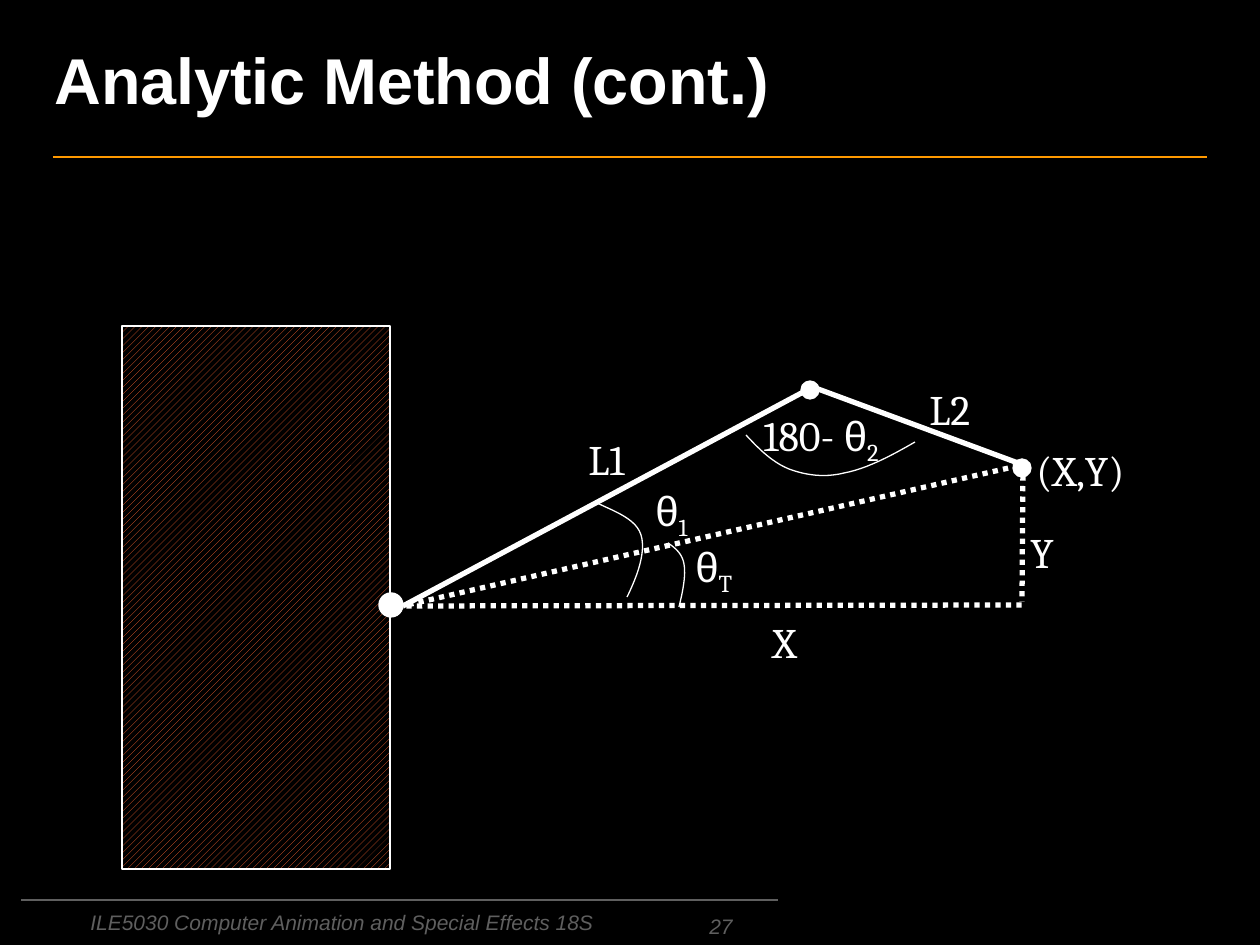
import pptx
import pptx.dml.color
import pptx.enum.dml
import pptx.enum.shapes
import pptx.enum.text
import pptx.oxml
import pptx.oxml.ns
import pptx.util

PX = 914400 / 126
WHITE, BLACK, GRAY, ORANGE = "FFFFFF", "000000", "5F5F5F", "FF9900"
ANCHOR = pptx.enum.text.MSO_ANCHOR
ALIGN = pptx.enum.text.PP_ALIGN
THETA = ("θ", {"font": "Arial"})
TITLE_SHADOW = (
    f'<a:effectLst {pptx.oxml.ns.nsdecls("a")}>'
    '<a:outerShdw dist="25400" dir="2700000" algn="tl">'
    '<a:srgbClr val="993399"/></a:outerShdw></a:effectLst>'
)


def emu(px):
    return pptx.util.Emu(round(px * PX))


def rgb(color):
    return pptx.dml.color.RGBColor.from_string(color)


def subscript(text):
    return (text, {"baseline": -25000})


def set_line(line, color, width):
    line.color.rgb = rgb(color)
    line.width = pptx.util.Pt(width)


def add_segment(slide, start, end, color=WHITE, width=3, dotted=False):
    segment = slide.shapes.add_connector(
        pptx.enum.shapes.MSO_CONNECTOR.STRAIGHT, *map(emu, start + end))
    set_line(segment.line, color, width)
    if dotted:
        segment.line.dash_style = pptx.enum.dml.MSO_LINE.ROUND_DOT
    segment._element.spPr.append(pptx.oxml.parse_xml(
        f'<a:effectLst {pptx.oxml.ns.nsdecls("a")}/>'))


def add_wall(slide, box):
    wall = slide.shapes.add_shape(
        pptx.enum.shapes.MSO_SHAPE.RECTANGLE, *map(emu, box))
    wall.shadow.inherit = False
    wall.fill.patterned()
    wall.fill.pattern = pptx.enum.dml.MSO_PATTERN.WIDE_UPWARD_DIAGONAL
    wall.fill.fore_color.rgb = rgb("FF6633")
    wall.fill.back_color.rgb = rgb(BLACK)
    set_line(wall.line, WHITE, 0.75)


def add_joint(slide, center, size):
    x, y = center
    joint = slide.shapes.add_shape(
        pptx.enum.shapes.MSO_SHAPE.OVAL,
        *map(emu, (x - size / 2, y - size / 2, size, size)))
    joint.shadow.inherit = False
    joint.fill.solid()
    joint.fill.fore_color.rgb = rgb(WHITE)
    set_line(joint.line, WHITE, 0.75)


def bezier(points, t):
    """Point at t on the Bezier curve with these control points."""
    while len(points) > 1:
        points = [(x1 + (x2 - x1) * t, y1 + (y2 - y1) * t)
                  for (x1, y1), (x2, y2) in zip(points, points[1:])]
    return points[0]


def add_angle_arc(slide, controls, steps=12):
    """Draw chained cubic curves; each shares its end with the next."""
    outline = [bezier(controls[first:first + 4], step / steps)
               for first in range(0, len(controls) - 1, 3)
               for step in range(1, steps + 1)]
    builder = slide.shapes.build_freeform(*map(emu, controls[0]), scale=1.0)
    builder.add_line_segments(
        [(emu(x), emu(y)) for x, y in outline], close=False)
    arc = builder.convert_to_shape()
    arc.shadow.inherit = False
    arc.fill.background()
    set_line(arc.line, WHITE, 0.75)


def add_text(slide, box, *runs, font="Cambria", size=24, color=WHITE,
             bold=False, italic=False, align=ALIGN.LEFT, anchor=ANCHOR.TOP,
             wrap=True, grow=False, effect=None):
    """Add one paragraph; a run is a string or (string, overrides)."""
    frame = slide.shapes.add_textbox(*map(emu, box)).text_frame
    frame.word_wrap = wrap
    frame.vertical_anchor = anchor
    if grow:
        frame.auto_size = pptx.enum.text.MSO_AUTO_SIZE.SHAPE_TO_FIT_TEXT
    paragraph = frame.paragraphs[0]
    paragraph.alignment = align
    for item in runs:
        text, overrides = (item, {}) if isinstance(item, str) else item
        run = paragraph.add_run()
        run.text = text
        run.font.name = overrides.get("font", font)
        run.font.size = pptx.util.Pt(size)
        run.font.bold = bold
        run.font.italic = italic
        run.font.color.rgb = rgb(color)
        properties = run._r.get_or_add_rPr()
        if "baseline" in overrides:
            properties.set("baseline", str(overrides["baseline"]))
        if effect:
            fill = properties.find(pptx.oxml.ns.qn("a:solidFill"))
            fill.addnext(pptx.oxml.parse_xml(effect))


def add_frame(slide):
    """Title, rules and footer."""
    add_segment(slide, (53, 157), (1207, 157), ORANGE, 1)
    add_segment(slide, (21, 900), (778, 900), GRAY, 1)
    footer = {"font": "Arial", "size": 12, "color": GRAY, "italic": True}
    add_text(slide, (78, 903, 626, 42),
             "ILE5030 Computer Animation and Special Effects 18S", **footer)
    add_text(slide, (451, 911, 294, 34), "27", align=ALIGN.RIGHT,
             anchor=ANCHOR.BOTTOM, **footer)
    add_text(slide, (42, 0, 924, 157), "Analytic Method (cont.)",
             font="Arial", size=37, bold=True, anchor=ANCHOR.MIDDLE,
             effect=TITLE_SHADOW)


def add_arm(slide):
    add_wall(slide, (122, 326, 268, 543))
    add_joint(slide, (391, 605), 24)
    add_segment(slide, (403, 606), (809, 389))
    add_segment(slide, (810, 386), (1026, 466))
    add_segment(slide, (398, 607), (1022, 465), dotted=True)
    add_segment(slide, (396, 606), (1023, 605), dotted=True)
    add_segment(slide, (1023, 465), (1022, 602), dotted=True)
    add_joint(slide, (1022, 468), 18)
    add_joint(slide, (810, 390), 18)


def add_angles(slide):
    add_angle_arc(slide, [(597, 503), (616, 512), (636, 519), (641, 535),
                          (646, 551), (638, 575), (627, 597)])
    add_angle_arc(slide, [(668, 543), (675, 548), (682, 553), (684, 564),
                          (686, 575), (683, 591), (679, 607)])
    add_angle_arc(slide, [(746, 435), (759, 449), (772, 462), (789, 469),
                          (805, 475), (824, 478), (844, 473),
                          (866, 469), (891, 456), (915, 442)])


def add_labels(slide):
    height = 63
    for left, top, width, wrap, runs in [
        (1024, 438, 134, True, ["(X,Y)"]),
        (576, 427, 72, False, ["L1"]),
        (917, 377, 72, False, ["L2"]),
        (643, 478, 62, False, [THETA, subscript("1")]),
        (683, 534, 66, True, [THETA, subscript("T")]),
        (751, 403, 218, True, ["180- ", THETA, subscript("2")]),
        (760, 610, 55, False, ["X"]),
        (1018, 520, 55, False, ["Y"]),
    ]:
        add_text(slide, (left, top, width, height), *runs,
                 wrap=wrap, grow=True)


def main():
    deck = pptx.Presentation()
    deck.slide_width, deck.slide_height = emu(1260), emu(945)
    slide = deck.slides.add_slide(deck.slide_layouts[6])
    slide.background.fill.solid()
    slide.background.fill.fore_color.rgb = rgb(BLACK)
    add_frame(slide)
    add_arm(slide)
    add_angles(slide)
    add_labels(slide)
    deck.save("out.pptx")


if __name__ == "__main__":
    main()
